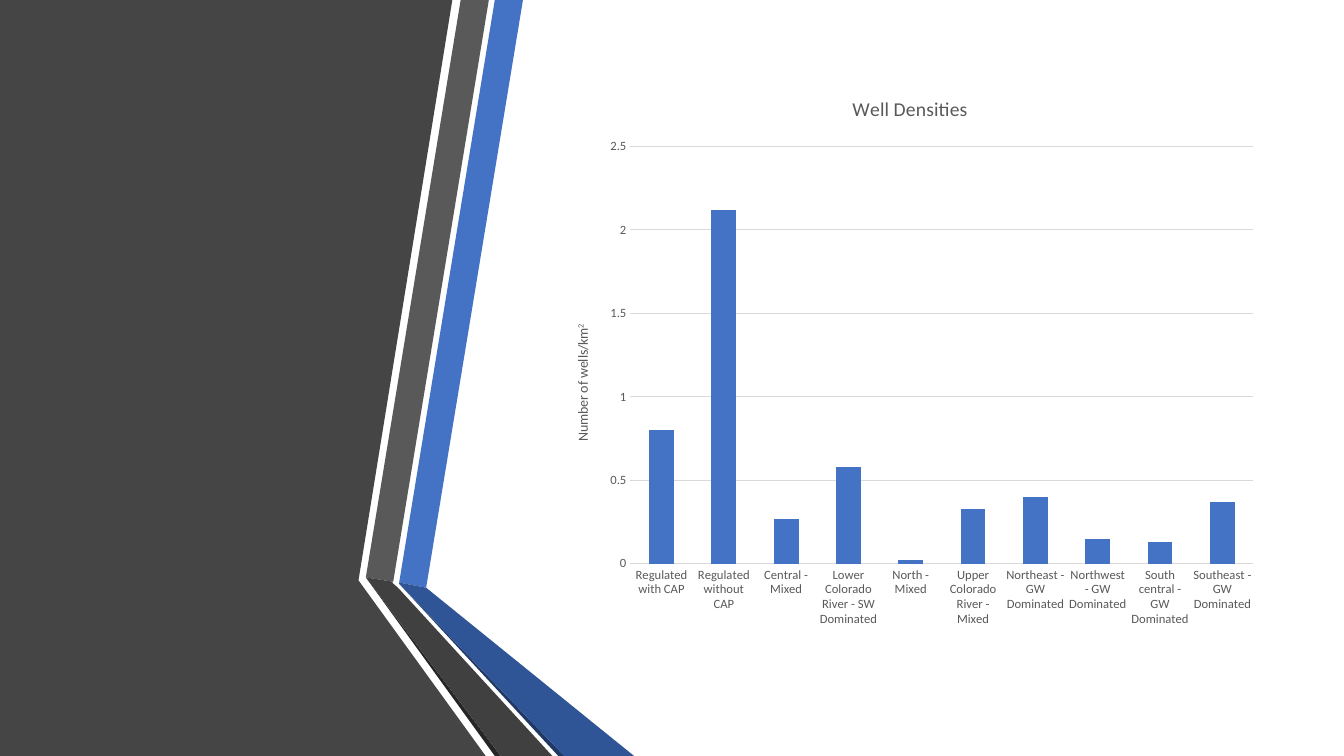
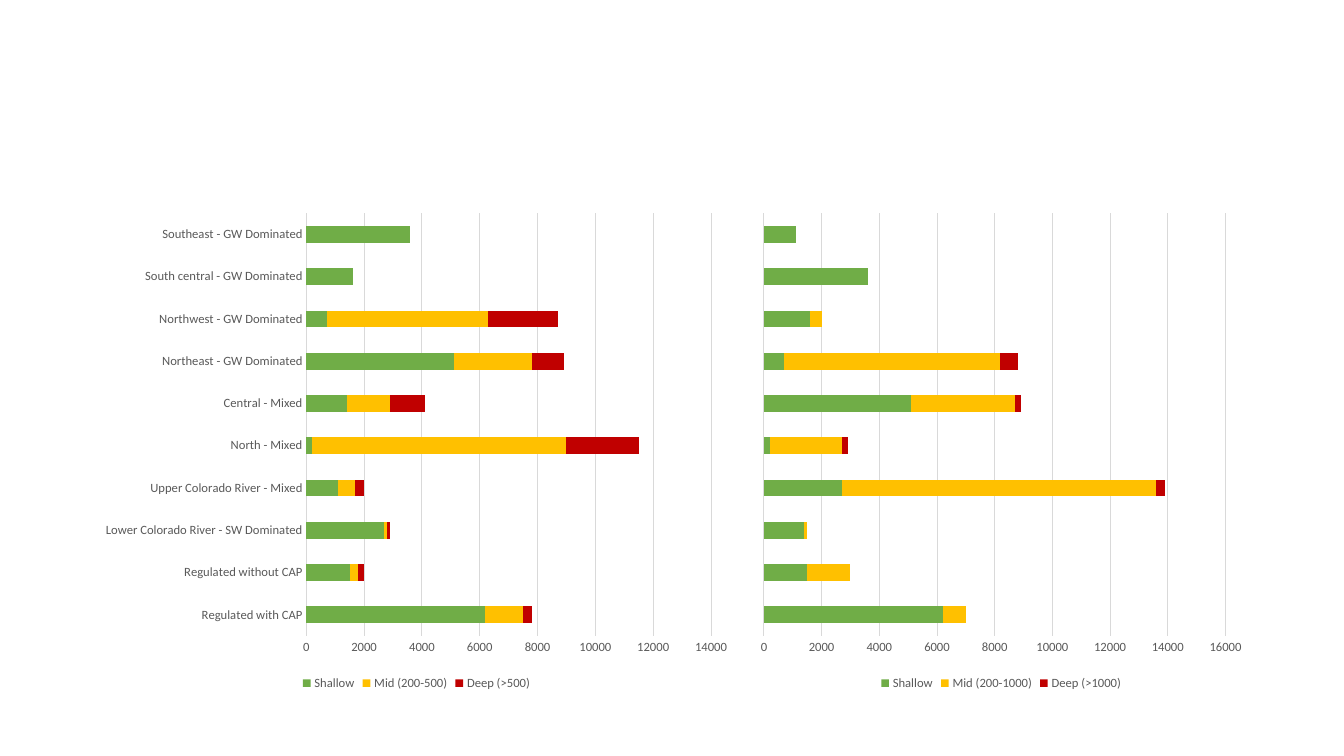
from pptx import Presentation
from pptx.chart.data import CategoryChartData
from pptx.dml.color import RGBColor
from pptx.enum.chart import XL_CHART_TYPE, XL_LEGEND_POSITION, XL_TICK_MARK
from pptx.util import Cm, Pt

COLUMN = XL_CHART_TYPE.COLUMN_CLUSTERED
STACKED = XL_CHART_TYPE.BAR_STACKED
BOTTOM = XL_LEGEND_POSITION.BOTTOM
NONE = XL_TICK_MARK.NONE

FONT = "Calibri"
DARK = RGBColor(0x45, 0x45, 0x45)
BLUE = RGBColor(0x44, 0x72, 0xC4)
MID_BLUE = RGBColor(0x2F, 0x55, 0x97)
NAVY = RGBColor(0x20, 0x38, 0x64)
GREY = RGBColor(0x59, 0x59, 0x59)
CHARCOAL = RGBColor(0x40, 0x40, 0x40)
BLACK = RGBColor(0x26, 0x26, 0x26)
RULE = RGBColor(0xD9, 0xD9, 0xD9)
GREEN = RGBColor(0x70, 0xAD, 0x47)
GOLD = RGBColor(0xFF, 0xC0, 0x00)
RED = RGBColor(0xC0, 0x00, 0x00)


def write(frame, text, size=10, raised=""):
    """Put text in a chart title, with an optional superscript ending."""
    para = frame.paragraphs[0]
    for part in filter(None, (text, raised)):
        run = para.add_run()
        run.text = part
        font = run.font
        font.name, font.size, font.bold = FONT, Pt(size), False
        font.color.rgb = GREY
        if part == raised:
            font._element.set("baseline", "30000")


def plot(slide, kind, box, cats, rows, top, step):
    """Add a chart; rows hold name, colour and values of each series."""
    data = CategoryChartData()
    data.categories = cats
    for name, _, vals in rows:
        data.add_series(name, vals + [None] * (len(cats) - len(vals)))
    chart = slide.shapes.add_chart(kind, *map(Cm, box), data).chart
    chart.has_title = False
    chart.has_legend = len(rows) > 1
    chart.font.name, chart.font.size = FONT, Pt(9)
    chart.font.color.rgb = GREY
    if chart.has_legend:
        chart.legend.position = BOTTOM
        chart.legend.include_in_layout = False

    bars = chart.plots[0]
    bars.gap_width = 150
    bars.vary_by_categories = False
    if kind == STACKED:
        bars.overlap = 100
    for series, (_, color, _) in zip(bars.series, rows):
        series.format.fill.solid()
        series.format.fill.fore_color.rgb = color
        series.invert_if_negative = False

    for axis in (chart.category_axis, chart.value_axis):
        axis.major_tick_mark = axis.minor_tick_mark = NONE
    line = chart.category_axis.format.line
    line.color.rgb, line.width = RULE, Pt(0.75)
    axis = chart.value_axis
    axis.minimum_scale, axis.maximum_scale, axis.major_unit = 0, top, step
    axis.format.line.fill.background()
    line = axis.major_gridlines.format.line
    line.color.rgb, line.width = RULE, Pt(0.75)
    return chart


deck = Presentation()
deck.slide_width, deck.slide_height = Cm(33.87), Cm(19.05)
blank = deck.slide_layouts[6]

# Slide 1: folded bands on the left
slide = deck.slides.add_slide(blank)
END = 19.05
bands = [
    (DARK, [(0, 0), (11.4, 0), (9.04, 14.6), (9.04, 14.63), (12.24, END), (0, END)]),
    (BLUE, [(10.06, 14.68), (10.74, 14.81), (13.18, 0), (12.47, 0)]),
    (GREY, [(12.32, 0), (11.61, 0), (9.22, 14.55), (9.91, 14.66)]),
    (BLACK, [(9.22, 14.55), (12.47, END), (12.62, END)]),
    (NAVY, [(10.06, 14.71), (14.07, END), (14.22, END)]),
    (MID_BLUE, [(10.06, 14.71), (14.22, END), (15.98, END), (10.74, 14.81),
                (10.06, 14.68)]),
    (CHARCOAL, [(13.92, END), (10.03, 14.81), (9.88, 14.68), (9.91, 14.66),
                (9.22, 14.55), (12.62, END)]),
]
for color, spots in bands:
    first, *rest = [(Cm(x), Cm(y)) for x, y in spots]
    path = slide.shapes.build_freeform(*first)
    path.add_line_segments(rest)
    band = path.convert_to_shape()
    band.shadow.inherit = False
    band.fill.solid()
    band.fill.fore_color.rgb = color
    band.line.fill.background()

# Slide 1: well densities
areas = ["Regulated with CAP", "Regulated without CAP", "Central - Mixed",
         "Lower Colorado River - SW Dominated", "North - Mixed",
         "Upper Colorado River - Mixed", "Northeast - GW Dominated",
         "Northwest - GW Dominated", "South central - GW Dominated",
         "Southeast - GW Dominated"]
wells = [0.8, 2.12, 0.27, 0.58, 0.02, 0.33, 0.4, 0.15, 0.13, 0.37]
chart = plot(slide, COLUMN, (13.92, 1.9, 18.03, 14.17), areas,
             [("Series 1", BLUE, wells)], 2.5, 0.5)
write(chart.chart_title.text_frame, "Well Densities", size=14)
frame = chart.value_axis.axis_title.text_frame
write(frame, "Number of wells/km", raised="2")
frame._element.bodyPr.set("rot", "-5400000")
frame._element.bodyPr.set("vert", "horz")

# Slide 2: well depths, two ways of splitting them
slide = deck.slides.add_slide(blank)
lower, upper = areas[3], areas[5]
order = areas[:2] + [lower, upper, "North - Mixed", "Central - Mixed"] + areas[6:]
ranks = [str(n) for n in range(1, 11)]

right = plot(slide, STACKED, (18.92, 5.13, 12.62, 12.37), ranks, [
    ("Shallow", GREEN, [6200, 1500, 1400, 2700, 200, 5100, 700, 1600, 3600, 1100]),
    ("Mid (200-1000)", GOLD, [800, 1500, 100, 10900, 2500, 3600, 7500, 400]),
    ("Deep (>1000)", RED, [0, 0, 0, 300, 200, 200, 600, 0]),
], 16000, 2000)
right.category_axis.visible = False

plot(slide, STACKED, (2.34, 5.13, 16.31, 12.37), order, [
    ("Shallow", GREEN, [6200, 1500, 2700, 1100, 200, 1400, 5100, 700, 1600, 3600]),
    ("Mid (200-500)", GOLD, [1300, 300, 100, 600, 8800, 1500, 2700, 5600]),
    ("Deep (>500)", RED, [300, 200, 100, 300, 2500, 1200, 1100, 2400]),
], 14000, 2000)

deck.save("out.pptx")
